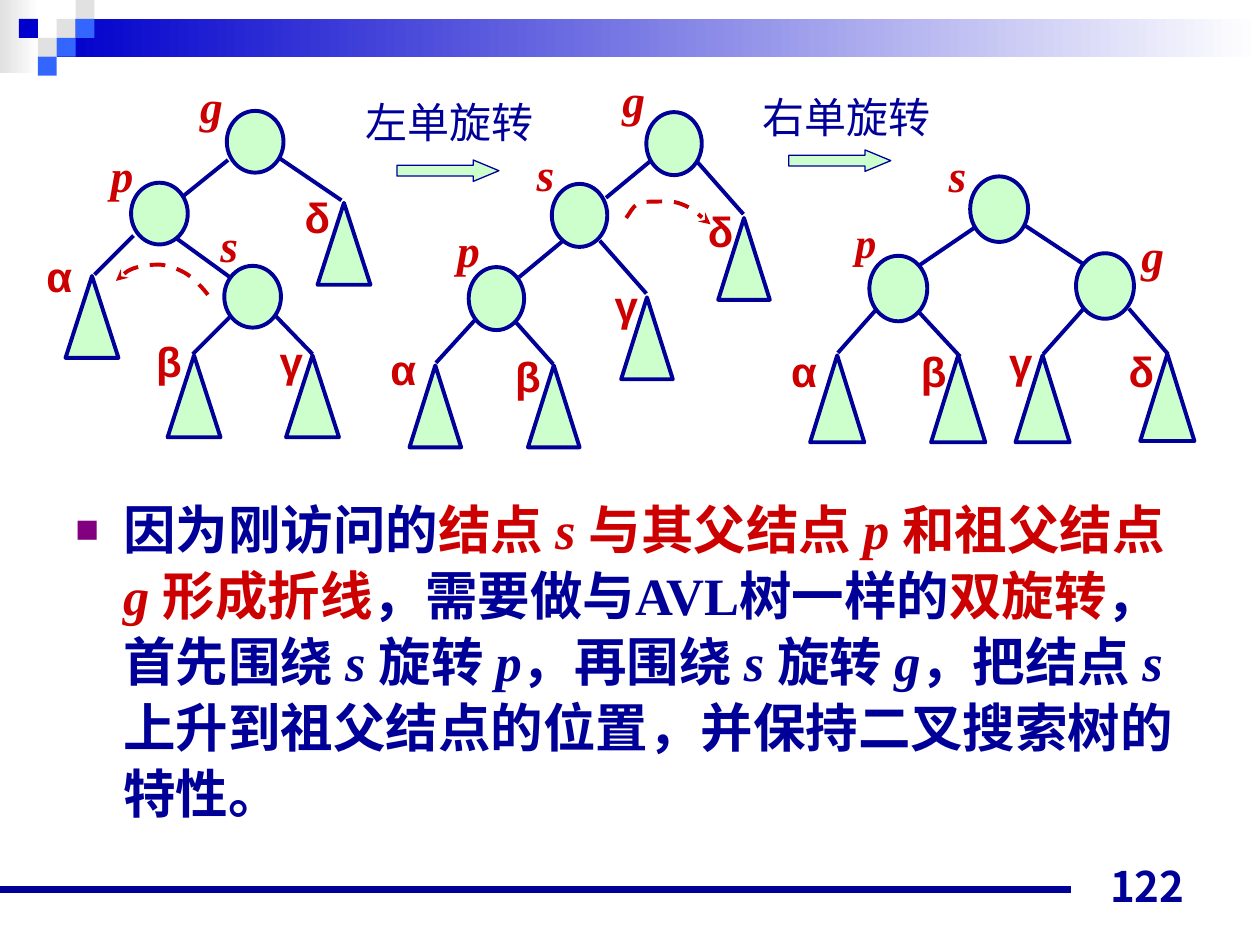
from lxml import etree
from pptx import Presentation
from pptx import util as u
from pptx.dml import color as clr
from pptx.enum import dml, shapes, text
from pptx.oxml import ns

HUES = {"navy": "000099", "red": "CC0000", "mint": "CCFFCC", "plum": "800080",
        "white": "FFFFFF", "grey": "E1E1E1", "blue": "0000CC", "sky": "3366FF"}
KIND = shapes.MSO_SHAPE
SERIF = "Times New Roman"
NAME = {"name": SERIF, "size": u.Pt(26), "bold": True, "italic": True}
GREEK = {"name": "Arial", "size": u.Pt(24), "bold": True}

# Each tree: sizes of nodes and leaves, then (label, left, top, label left, label top)
TREES = [
    {"node": (0.45, 0.49), "leaf": (0.42, 0.65),
     "nodes": [("g", 1.8, 0.88, 1.49, 0.57), ("p", 1.04, 1.45, 0.78, 1.12),
               ("s", 1.78, 2.11, 1.65, 1.67)],
     "leaves": [("α", 0.52, 2.19, 0.27, 1.94), ("β", 1.33, 2.82, 1.14, 2.61),
                ("γ", 2.27, 2.82, 2.12, 2.61), ("δ", 2.52, 1.61, 2.32, 1.47)],
     "edges": [(1.37, 1.87, 1.88, 2.24), (1.83, 2.51, 1.53, 2.81),
               (2.19, 2.51, 2.48, 2.81), (1.81, 1.27, 1.45, 1.56),
               (1.06, 1.87, 0.75, 2.18), (2.21, 1.25, 2.71, 1.59)]},
    {"node": (0.44, 0.5), "leaf": (0.41, 0.65),
     "nodes": [("g", 5.13, 0.89, 4.84, 0.52), ("s", 4.38, 1.46, 4.16, 1.11),
               ("p", 3.72, 2.12, 3.53, 1.71)],
     "leaves": [("α", 3.25, 2.9, 3, 2.68), ("β", 4.19, 2.9, 3.99, 2.73),
                ("γ", 4.93, 2.36, 4.78, 2.17), ("δ", 5.7, 1.73, 5.52, 1.58)],
     "edges": [(3.77, 2.54, 3.46, 2.88), (4.07, 2.53, 4.39, 2.89),
               (5.16, 1.28, 4.81, 1.57), (4.76, 1.91, 5.13, 2.33),
               (4.47, 1.91, 4.12, 2.2), (5.53, 1.28, 5.9, 1.7)]},
    {"node": (0.46, 0.52), "leaf": (0.43, 0.69), "sizes": {"p": 24},
     "nodes": [("s", 7.7, 1.4, 7.43, 1.12), ("p", 6.9, 2.03, 6.69, 1.67),
               ("g", 8.54, 2.01, 8.96, 1.75)],
     "leaves": [("α", 6.43, 2.82, 6.18, 2.69), ("β", 7.39, 2.82, 7.21, 2.69),
                ("γ", 8.06, 2.82, 7.91, 2.62), ("δ", 9.05, 2.81, 8.86, 2.69)],
     "edges": [(8.6, 2.45, 8.28, 2.81), (7.24, 2.42, 7.62, 2.83),
               (8.96, 2.45, 9.27, 2.81), (8.12, 1.78, 8.62, 2.11),
               (7.76, 1.79, 7.29, 2.11), (6.96, 2.45, 6.65, 2.8)]},
]

# Dashed curves: a start point, then three points for each Bezier piece
CURVES = [
    ("headEnd", [(0.92, 2.23), (0.96, 2.19), (1.01, 2.15), (1.06, 2.13),
                 (1.12, 2.11), (1.2, 2.1), (1.27, 2.1), (1.35, 2.11),
                 (1.43, 2.14), (1.49, 2.18), (1.55, 2.22), (1.63, 2.31),
                 (1.65, 2.34)]),
    ("tailEnd", [(4.97, 1.73), (5, 1.69), (5.02, 1.64), (5.06, 1.62),
                 (5.1, 1.6), (5.14, 1.6), (5.2, 1.6), (5.26, 1.6),
                 (5.34, 1.59), (5.41, 1.62), (5.49, 1.65), (5.6, 1.75),
                 (5.64, 1.78)]),
]

# (text, colour, italic)
BODY = [
    ("因为刚访问的", "navy", False), ("结点 ", "red", False), ("s ", "red", True),
    ("与其父结点 ", "red", False), ("p ", "red", True), ("和祖父结点", "red", False),
    ("g ", "red", True), ("形成折线", "red", False),
    ("，需要做与AVL树一样的", "navy", False), ("双旋转", "red", False),
    ("，首先围绕 ", "navy", False), ("s ", "navy", True), ("旋转 ", "navy", False),
    ("p", "navy", True), ("，再围绕 ", "navy", False), ("s ", "navy", True),
    ("旋转 ", "navy", False), ("g", "navy", True), ("，把结点 ", "navy", False),
    ("s", "navy", True),
    ("上升到祖父结点的位置，并保持二叉搜索树的特性。", "navy", False),
]


def rgb(hue):
    return clr.RGBColor.from_string(HUES[hue])


def sub(node, tag, **attrs):
    return etree.SubElement(node, ns.qn(tag), attrs)


def style(font, hue, form):
    for key, val in form.items():
        setattr(font, key, val)
    font.color.rgb = rgb(hue)


def block(host, kind, at, fill, line=None):
    """Draw a preset shape; two fill names make a left-to-right gradient."""
    item = host.add_shape(kind, *map(u.Inches, at))
    item.shadow.inherit = False
    if isinstance(fill, tuple):
        item.fill.gradient()
        item.fill.gradient_angle = 0
        for stop, hue in zip(item.fill.gradient_stops, fill):
            stop.color.rgb = rgb(hue)
    else:
        item.fill.solid()
        item.fill.fore_color.rgb = rgb(fill)
    if line:
        item.line.color.rgb = rgb("navy")
        item.line.width = u.Pt(line)
    else:
        item.line.fill.background()
    return item


def edge(host, ends, width=2.25):
    item = host.add_connector(shapes.MSO_CONNECTOR.STRAIGHT, *map(u.Inches, ends))
    item.line.color.rgb = rgb("navy")
    item.line.width = u.Pt(width)
    sub(item._element.spPr, "a:effectLst")


def label(host, at, runs, form, wrap=True):
    """Add a one-paragraph text box; return its frame and paragraph."""
    frame = host.add_textbox(*map(u.Inches, at)).text_frame
    frame.word_wrap = wrap
    para = frame.paragraphs[0]
    for words, hue, slant in runs:
        run = para.add_run()
        run.text = words
        style(run.font, hue, {"italic": slant, **form})
    return frame, para


def tree(slide, data):
    host = slide.shapes.add_group_shape().shapes
    for ends in data["edges"]:
        edge(host, ends)
    for part, size, kind, form in (("nodes", "node", KIND.OVAL, NAME),
                                   ("leaves", "leaf", KIND.ISOSCELES_TRIANGLE, GREEK)):
        for name, left, top, x, y in data[part]:
            block(host, kind, (left, top, *data[size]), "mint", 2.25)
            pts = data.get("sizes", {}).get(name)
            own = {**form, "size": u.Pt(pts)} if pts else form
            label(host, (x, y, 0.71, 0.7), [(name, "red", False)], own)


def curve(slide, end, points):
    spots = [(u.Inches(x), u.Inches(y)) for x, y in points]
    pen = slide.shapes.build_freeform(*spots[0])
    pen.add_line_segments(spots[1:], close=False)
    item = pen.convert_to_shape()
    item.shadow.inherit = False
    item.fill.background()
    item.line.color.rgb = rgb("red")
    item.line.width = u.Pt(2.25)
    item.line.dash_style = dml.MSO_LINE.DASH
    sub(item.line._get_or_add_ln(), f"a:{end}", type="stealth")
    track = item._element.find(".//" + ns.qn("a:path"))
    steps = track.findall(ns.qn("a:lnTo"))
    for i in range(0, len(steps), 3):
        bend = sub(track, "a:cubicBezTo")
        for step in steps[i:i + 3]:
            bend.append(step[0])
            track.remove(step)


def frieze(slide):
    """Draw the top band with its pixel squares and the bottom rule."""
    host = slide.shapes
    block(host, KIND.RECTANGLE, (0, 0, 0.31, 0.58), ("grey", "white"))
    block(host, KIND.RECTANGLE, (0.45, 0.15, 9.55, 0.3), ("blue", "white"))
    for col, row, hue in ((3, 1, "grey"), (4, 0, "grey"), (4, 1, "sky"),
                          (2, 2, "grey"), (1, 1, "blue"), (3, 2, "sky"),
                          (2, 3, "sky")):
        block(host, KIND.RECTANGLE, (col * 0.15, row * 0.15, 0.15, 0.15), hue)
    edge(host, (0, 7.06, 8.5, 7.06), 4.5)


def body(slide):
    para = label(slide.shapes, (0.5, 3.87, 9, 2.99), BODY,
                 {"name": SERIF, "size": u.Pt(30), "bold": True})[1]
    para.line_spacing = 1.05
    props = para._p.get_or_add_pPr()
    props.set("marL", str(u.Inches(0.38)))
    props.set("indent", str(u.Inches(-0.38)))
    sub(sub(props, "a:buClr"), "a:srgbClr", val=HUES["plum"])
    sub(props, "a:buSzPct", val="75000")
    sub(props, "a:buFont", typeface="Arial")
    sub(props, "a:buChar", char="■")


def main():
    deck = Presentation()
    deck.slide_width, deck.slide_height = u.Inches(10), u.Inches(7.5)
    slide = deck.slides.add_slide(deck.slide_layouts[6])
    frieze(slide)
    body(slide)
    for data in TREES:
        tree(slide, data)
    for end, points in CURVES:
        curve(slide, end, points)
    for words, x, y, left, top in (("左单旋转", 2.8, 0.72, 3.15, 1.27),
                                   ("右单旋转", 5.95, 0.68, 6.26, 1.19)):
        arrow = block(slide.shapes, KIND.RIGHT_ARROW, (left, top, 0.81, 0.17),
                      "mint", 0.75)
        arrow.adjustments[1] = 1.2
        label(slide.shapes, (x, y, 1.53, 0.5), [(words, "navy", False)],
              {"name": "Arial", "size": u.Pt(24)}, wrap=False)
    frame, para = label(slide.shapes, (7.17, 6.78, 2.33, 0.5),
                        [("122", "navy", False)],
                        {"name": "Noto Sans CJK JP", "size": u.Pt(24), "bold": True})
    frame.vertical_anchor = text.MSO_ANCHOR.BOTTOM
    para.alignment = text.PP_ALIGN.RIGHT
    deck.save("out.pptx")


if __name__ == "__main__":
    main()
